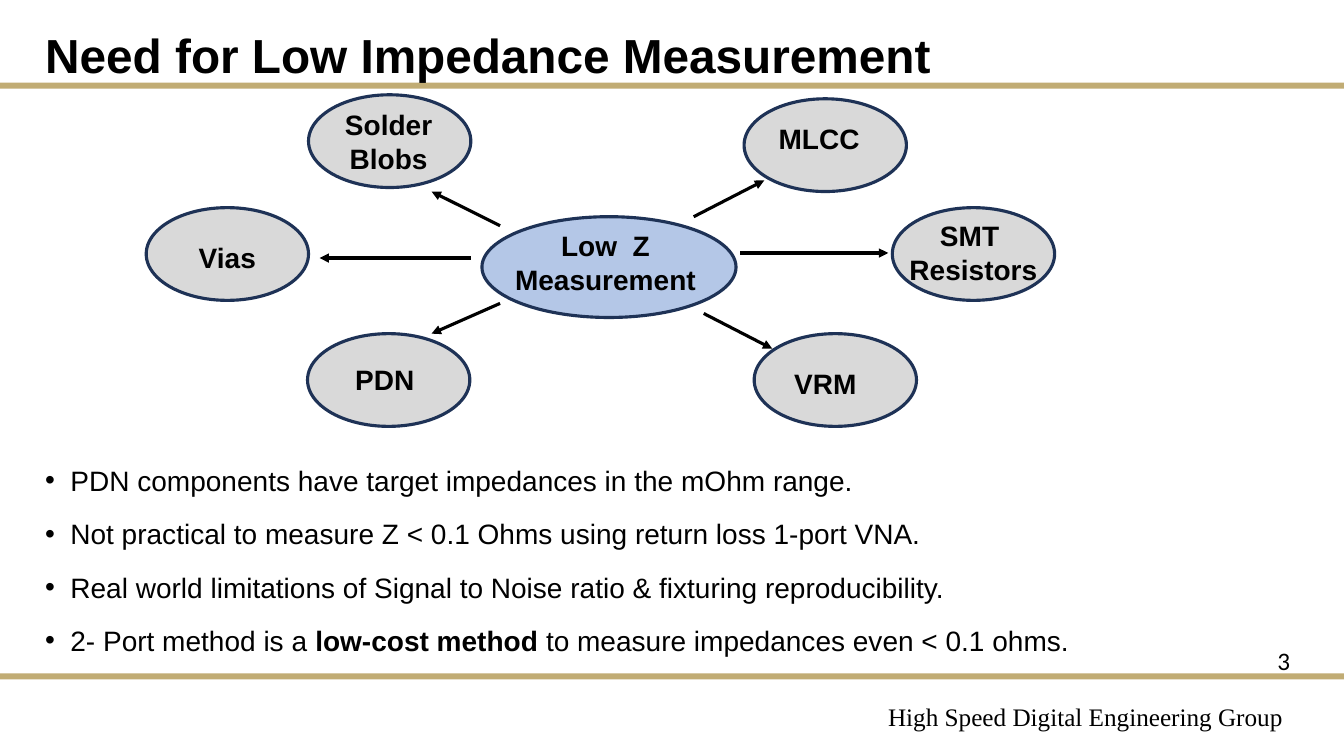
import typing

import pptx
import pptx.dml.color
import pptx.enum.shapes
import pptx.enum.text
import pptx.oxml.ns
import pptx.slide
import pptx.text.text
import pptx.util

Inches = pptx.util.Inches
Pt = pptx.util.Pt
RGBColor = pptx.dml.color.RGBColor
SHAPE = pptx.enum.shapes.MSO_SHAPE
CENTER = pptx.enum.text.PP_ALIGN.CENTER

BLACK = RGBColor(0x00, 0x00, 0x00)
GOLD = RGBColor(0xC1, 0xAC, 0x74)
NAVY = RGBColor(0x1E, 0x32, 0x56)
BLUE = RGBColor(0xB4, 0xC7, 0xE7)
GRAY = RGBColor(0xD9, 0xD9, 0xD9)

# Font formats
TITLE = {"name": "Arial", "size": Pt(34.1), "bold": True}
LABEL = {"name": "Arial", "size": Pt(20), "bold": True}
PLAIN = {"name": "Arial", "size": Pt(20), "bold": False}
FOOT = {"name": "Times New Roman", "size": Pt(18)}
PAGE = {"name": "Calibri", "size": Pt(18)}


class Box(typing.NamedTuple):
    left: float
    top: float
    width: float
    height: float


class Node(typing.NamedTuple):
    lines: list[str]
    oval: Box
    label: Box
    fill: RGBColor = GRAY


class Arrow(typing.NamedTuple):
    x1: float
    y1: float
    x2: float
    y2: float


def small(lines: list[str], left: float, top: float,
          text_left: float, text_top: float) -> Node:
    height = 0.44 if len(lines) == 1 else 0.77
    return Node(lines, Box(left, top, 1.61, 0.92),
                Box(text_left, text_top, 1.83, height))


NODES = [
    Node(["Low  Z", "Measurement"], Box(4.78, 2.15, 2.52, 1),
         Box(4.86, 2.22, 2.29, 0.77), BLUE),
    small(["Solder", "Blobs"], 3.06, 0.94, 2.94, 1.02),
    small(["Vias"], 1.45, 2.06, 1.34, 2.34),
    small(["PDN "], 3.05, 3.31, 2.94, 3.55),
    small(["MLCC"], 7.38, 0.98, 7.21, 1.16),
    small(["SMT ", "Resistors"], 8.85, 2.06, 8.74, 2.12),
    small(["VRM "], 7.48, 3.31, 7.31, 3.59),
]

ARROWS = [
    Arrow(4.67, 2.56, 3.17, 2.56),
    Arrow(4.96, 3.01, 4.28, 3.31),
    Arrow(4.96, 2.24, 4.28, 1.9),
    Arrow(6.88, 2.15, 7.58, 1.79),
    Arrow(7.34, 2.51, 8.81, 2.51),
    Arrow(6.98, 3.11, 7.66, 3.46),
]

# Each point is a list of (text, format) runs
POINTS = [
    [("PDN components have target impedances in the mOhm range.", PLAIN)],
    [("Not practical to measure Z < 0.1 Ohms using return loss 1-port VNA.", PLAIN)],
    [("Real world limitations of Signal to Noise ratio & fixturing reproducibility.", PLAIN)],
    [("2- Port method is a ", PLAIN), ("low-cost method ", LABEL),
     ("to measure impedances even < 0.1 ohms.", PLAIN)],
]


def place(box: Box) -> list[int]:
    return [Inches(size) for size in box]


def add_run(para: typing.Any, text: str, style: dict[str, typing.Any]) -> None:
    run = para.add_run()
    run.text = text
    for key, value in style.items():
        setattr(run.font, key, value)
    run.font.color.rgb = BLACK


def add_text(slide: pptx.slide.Slide, box: Box, lines: list[str],
             style: dict[str, typing.Any], align: typing.Any = None,
             wrap: bool = True) -> pptx.text.text.TextFrame:
    frame = slide.shapes.add_textbox(*place(box)).text_frame
    frame.word_wrap = wrap
    for i, line in enumerate(lines):
        para = frame.add_paragraph() if i else frame.paragraphs[0]
        para.alignment = align
        add_run(para, line, style)
    return frame


def add_form(slide: pptx.slide.Slide, kind: typing.Any, box: Box,
             fill: RGBColor, edge: RGBColor | None = None) -> None:
    shape = slide.shapes.add_shape(kind, *place(box))
    shape.shadow.inherit = False
    shape.fill.solid()
    shape.fill.fore_color.rgb = fill
    if edge is None:
        shape.line.fill.background()
    else:
        shape.line.color.rgb = edge
        shape.line.width = Pt(2.25)


def add_node(slide: pptx.slide.Slide, node: Node) -> None:
    add_form(slide, SHAPE.OVAL, node.oval, node.fill, NAVY)
    add_text(slide, node.label, node.lines, LABEL, CENTER)


def add_arrow(slide: pptx.slide.Slide, arrow: Arrow) -> None:
    link = slide.shapes.add_connector(
        pptx.enum.shapes.MSO_CONNECTOR.STRAIGHT, *[Inches(n) for n in arrow])
    link.line.color.rgb = BLACK
    link.line.width = Pt(2.25)
    tip = pptx.oxml.ns.qn("a:tailEnd")
    line = link.line._get_or_add_ln()
    line.append(line.makeelement(tip, {"type": "triangle"}))
    props = link._element.spPr
    props.append(props.makeelement(pptx.oxml.ns.qn("a:effectLst"), {}))


def add_points(slide: pptx.slide.Slide, box: Box) -> None:
    frame = add_text(slide, box, [], PLAIN)
    for i, runs in enumerate(POINTS):
        para = frame.add_paragraph() if i else frame.paragraphs[0]
        if i:
            para.space_before = Pt(10)
        para.space_after = Pt(4)
        props = para._p.get_or_add_pPr()
        props.set("marL", str(Inches(0.25)))
        props.set("indent", str(-Inches(0.25)))
        for tag, attrs in (("a:buFont", {"typeface": "Arial"}),
                           ("a:buChar", {"char": "•"})):
            props.append(props.makeelement(pptx.oxml.ns.qn(tag), attrs))
        for text, style in runs:
            add_run(para, text, style)


def main() -> None:
    deck = pptx.Presentation()
    deck.slide_width = Inches(13.33)
    deck.slide_height = Inches(7.5)
    slide = deck.slides.add_slide(deck.slide_layouts[6])

    # Gold bars and footer
    for top in (6.68, 0.82):
        add_form(slide, SHAPE.RECTANGLE, Box(0, top, 13.33, 0.06), GOLD)
    add_text(slide, Box(8.71, 6.91, 4.16, 0.4),
             ["High Speed Digital Engineering Group"], FOOT, wrap=False)
    add_text(slide, Box(12.57, 6.35, 0.76, 0.4), ["3"], PAGE)

    # Title and bullet points
    add_text(slide, Box(0.35, 0.21, 12.01, 0.64),
             ["Need for Low Impedance Measurement"], TITLE)
    add_points(slide, Box(0.35, 4.55, 12.6, 2.1))

    # Diagram
    for node in NODES:
        add_node(slide, node)
    for arrow in ARROWS:
        add_arrow(slide, arrow)

    deck.save("out.pptx")


if __name__ == "__main__":
    main()
